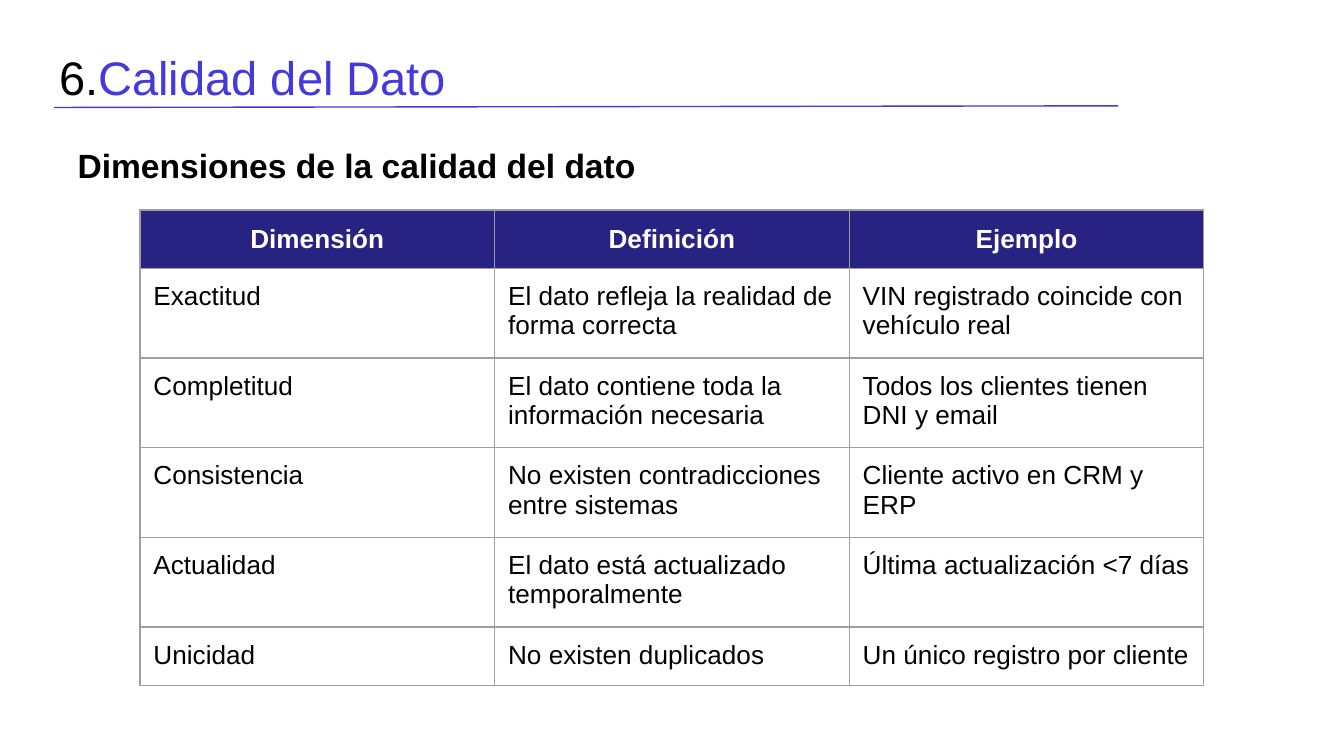
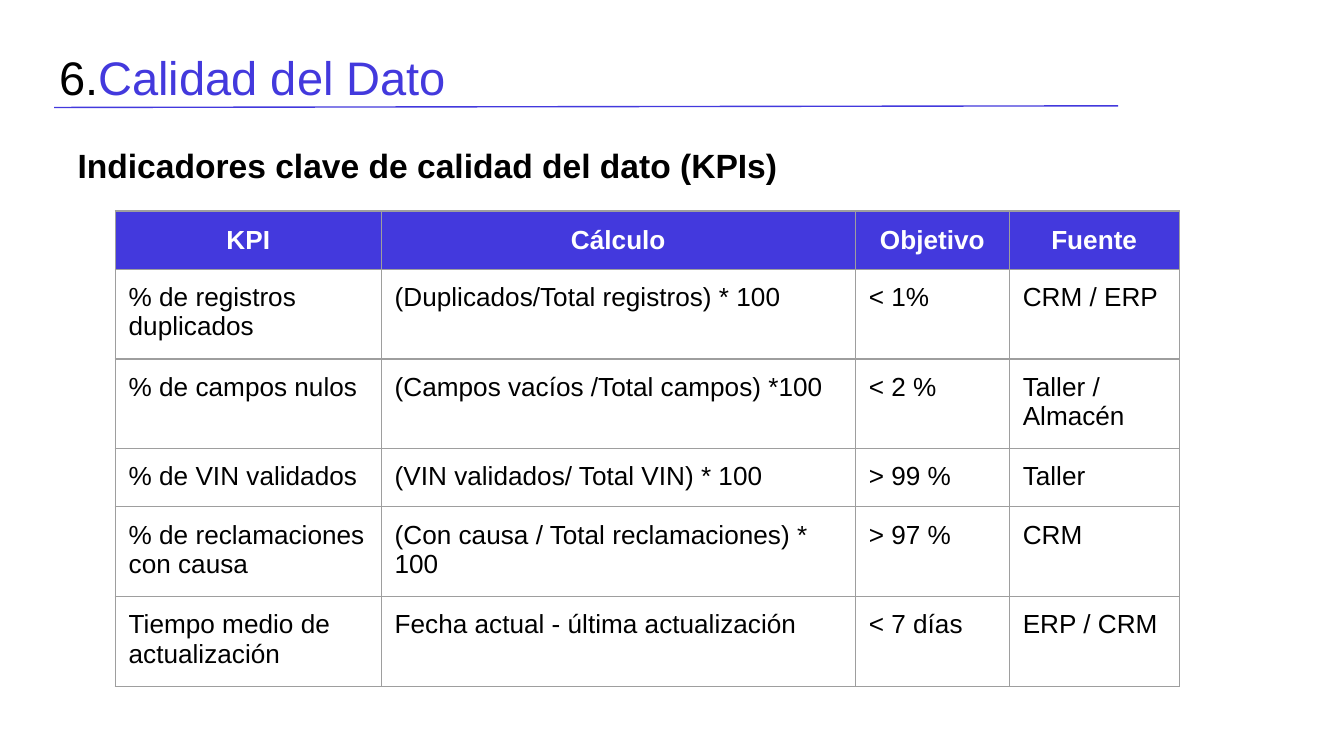
from lxml import etree
from pptx import Presentation
from pptx.dml.color import RGBColor
from pptx.enum.shapes import MSO_CONNECTOR as Connector
from pptx.enum.text import MSO_ANCHOR as Anchor, MSO_AUTO_SIZE as AutoSize, PP_ALIGN as Align
from pptx.oxml.ns import qn
from pptx.util import Pt

COLOURS = {
    "text": "000000",
    "accent": "4339DD",
    "navy": "282283",
    "white": "FFFFFF",
    "grid": "9E9E9E",
}
FONT = "Arial"
INSET = 7.2
LINE_WIDTH = 0.75
ROW_HEIGHT = 30.24
TITLE_BOX = (24.5, 18.7, 671, 45.4)
SUBTITLE_BOX = (34.5, 67, 534, 36)

DIMENSIONS = [
    ("Dimensión", "Definición", "Ejemplo"),
    ("Exactitud", "El dato refleja la realidad de forma correcta",
     "VIN registrado coincide con vehículo real"),
    ("Completitud", "El dato contiene toda la información necesaria",
     "Todos los clientes tienen DNI y email"),
    ("Consistencia", "No existen contradicciones entre sistemas",
     "Cliente activo en CRM y ERP"),
    ("Actualidad", "El dato está actualizado temporalmente",
     "Última actualización <7 días"),
    ("Unicidad", "No existen duplicados", "Un único registro por cliente"),
]
INDICATORS = [
    ("KPI", "Cálculo", "Objetivo", "Fuente"),
    ("% de registros duplicados", "(Duplicados/Total registros) * 100",
     "< 1%", "CRM / ERP"),
    ("% de campos nulos", "(Campos vacíos /Total campos) *100",
     "< 2 %", "Taller / Almacén"),
    ("% de VIN validados", "(VIN validados/ Total VIN) * 100",
     "> 99 %", "Taller"),
    ("% de reclamaciones con causa", "(Con causa / Total reclamaciones) * 100",
     "> 97 %", "CRM"),
    ("Tiempo medio de actualización", "Fecha actual - última actualización",
     "< 7 días", "ERP / CRM"),
]


def rgb(colour):
    return RGBColor.from_string(COLOURS[colour])


def add_run(paragraph, text, size, colour, bold=False):
    run = paragraph.add_run()
    run.text = text
    run.font.name = FONT
    run.font.size = Pt(size)
    run.font.bold = bold
    run.font.color.rgb = rgb(colour)


def set_insets(holder):
    holder.margin_left = holder.margin_right = Pt(INSET)
    holder.margin_top = holder.margin_bottom = Pt(INSET)


def add_heading(slide, box):
    left, top, width, height = box
    title = slide.shapes.title
    title.left, title.top, title.width, title.height = map(Pt, box)
    frame = title.text_frame
    set_insets(frame)
    frame.word_wrap = True
    frame.auto_size = AutoSize.NONE
    frame.vertical_anchor = Anchor.TOP
    paragraph = frame.paragraphs[0]
    paragraph.alignment = Align.LEFT
    paragraph.line_spacing = 1.0
    paragraph.space_before = Pt(0)
    add_run(paragraph, "6.", 25.2, "text")
    add_run(paragraph, "Calidad del Dato", 25.2, "accent")

    underline = slide.shapes.add_connector(
        Connector.STRAIGHT, Pt(left + 4.5), Pt(top + 38.9),
        Pt(left + 574.5), Pt(top + 38))
    underline.line.color.rgb = rgb("accent")
    underline.line.width = Pt(LINE_WIDTH)
    etree.SubElement(underline._element.spPr, qn("a:effectLst"))


def add_subtitle(slide, box, text):
    subtitle = slide.shapes.add_textbox(*map(Pt, box))
    frame = subtitle.text_frame
    set_insets(frame)
    frame.word_wrap = True
    frame.auto_size = AutoSize.SHAPE_TO_FIT_TEXT
    paragraph = frame.paragraphs[0]
    paragraph.line_spacing = 1.15
    add_run(paragraph, text, 18, "text", bold=True)


def add_borders(cell):
    properties = cell._tc.get_or_add_tcPr()
    for position, side in enumerate(("lnL", "lnR", "lnT", "lnB")):
        border = etree.Element(qn(f"a:{side}"), w=str(Pt(LINE_WIDTH)))
        fill = etree.SubElement(border, qn("a:solidFill"))
        etree.SubElement(fill, qn("a:srgbClr"), val=COLOURS["grid"])
        properties.insert(position, border)


def add_grid(slide, left, top, column_widths, rows, header_colour):
    frame = slide.shapes.add_table(
        len(rows), len(column_widths), Pt(left), Pt(top),
        Pt(sum(column_widths)), Pt(ROW_HEIGHT * len(rows)))
    grid = frame.table
    grid.first_row = grid.horz_banding = False
    for column, width in zip(grid.columns, column_widths):
        column.width = Pt(width)
    for row_index, texts in enumerate(rows):
        header = row_index == 0
        grid.rows[row_index].height = Pt(ROW_HEIGHT)
        for cell, text in zip(grid.rows[row_index].cells, texts):
            set_insets(cell)
            cell.vertical_anchor = Anchor.MIDDLE if header else Anchor.TOP
            if header:
                cell.fill.solid()
                cell.fill.fore_color.rgb = rgb(header_colour)
            else:
                cell.fill.background()
            paragraph = cell.text_frame.paragraphs[0]
            paragraph.alignment = Align.CENTER if header else Align.LEFT
            add_run(paragraph, text, 14, "white" if header else "text", header)
            add_borders(cell)


def add_quality_slide(deck, subtitle, left, top, column_widths, rows, header_colour):
    slide = deck.slides.add_slide(deck.slide_layouts.get_by_name("Title Only"))
    slide.background.fill.solid()
    slide.background.fill.fore_color.rgb = rgb("white")
    add_heading(slide, TITLE_BOX)
    add_subtitle(slide, SUBTITLE_BOX, subtitle)
    add_grid(slide, left, top, column_widths, rows, header_colour)


def main():
    deck = Presentation()
    deck.slide_width, deck.slide_height = Pt(720), Pt(405)
    add_quality_slide(deck, "Dimensiones de la calidad del dato",
                      75, 112.5, [190] * 3, DIMENSIONS, "navy")
    add_quality_slide(deck, "Indicadores clave de calidad del dato (KPIs)",
                      61.75, 113, [142.5, 254, 82.5, 91], INDICATORS, "accent")
    deck.save("out.pptx")


if __name__ == "__main__":
    main()
